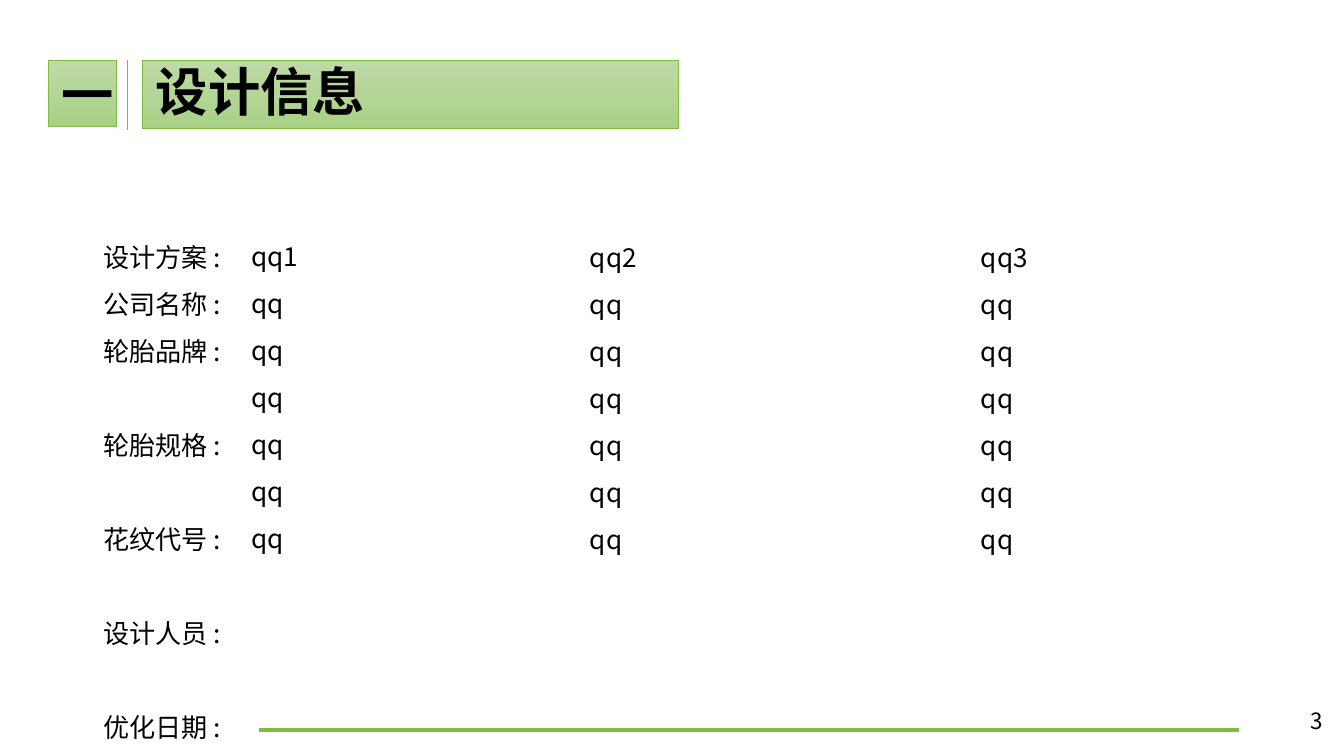
from pptx import Presentation
from pptx.dml.color import RGBColor
from pptx.enum.shapes import MSO_CONNECTOR, MSO_SHAPE
from pptx.enum.text import MSO_ANCHOR, MSO_AUTO_SIZE, PP_ALIGN
from pptx.oxml.ns import qn
from pptx.util import Inches, Pt
from lxml.etree import SubElement

THEME = {
    "font": "Noto Sans CJK SC",
    "text": RGBColor.from_string("000000"),
    "line": RGBColor.from_string("82B941"),
    "gradient": [RGBColor.from_string(c) for c in ("BEDAA6", "A8D186")],
    "heading": 28, "body": 14, "number": 12, "pitch": 25.2,
}
NUMBER, TITLE, PAGE = "一", "设计信息", "3"
LABELS = ["设计方案 :", "公司名称 :", "轮胎品牌 :", "轮胎规格 :",
          "花纹代号 :", "设计人员 :", "优化日期 :"]
DOUBLE_ROWS = range(2, 6)
COLUMNS = [
    (0.67, 1.63, 1.15, LABELS, DOUBLE_ROWS),
    (4.29, 1.63, 2.99, ["qq2"] + ["qq"] * 6, ()),
    (1.77, 1.62, 2.6, ["qq1"] + ["qq"] * 6, ()),
    (7.2, 1.63, 2.99, ["qq3"] + ["qq"] * 6, ()),
]
COLUMN_HEIGHT = 2.53
RULES = [((1.93, 5.43), (9.22, 5.43), 2.25), ((0.95, 0.45), (0.95, 0.97), 0.5)]


def style(p, size, bold=False, align=PP_ALIGN.LEFT):
    p.alignment = align
    p.font.size, p.font.bold, p.font.name = Pt(size), bold, THEME["font"]
    p.font.color.rgb = THEME["text"]
    props = p._p.get_or_add_pPr().find(qn("a:defRPr"))
    SubElement(props, qn("a:ea")).set("typeface", THEME["font"])


def add_rule(s, start, end, width):
    cx = s.shapes.add_connector(MSO_CONNECTOR.STRAIGHT, *map(Inches, start + end))
    cx.line.color.rgb, cx.line.width = THEME["line"], Pt(width)
    SubElement(cx._element.spPr, qn("a:effectLst"))


def format_heading(sp, text, anchor):
    sp.fill.gradient()
    sp.fill.gradient_angle = 270
    for stop, color in zip(sp.fill.gradient_stops, THEME["gradient"]):
        stop.color.rgb = color
    sp.line.color.rgb, sp.line.width = THEME["line"], Pt(0.5)
    tf = sp.text_frame
    tf.text, tf.word_wrap, tf.vertical_anchor = text, False, anchor
    tf.auto_size = MSO_AUTO_SIZE.NONE
    style(tf.paragraphs[0], THEME["heading"], bold=True)


def add_column(s, left, top, width, rows, double_rows):
    box = s.shapes.add_textbox(*map(Inches, (left, top, width, COLUMN_HEIGHT)))
    tf = box.text_frame
    tf.word_wrap, tf.auto_size = True, MSO_AUTO_SIZE.SHAPE_TO_FIT_TEXT
    tf.text = "\n".join(rows)
    for i, p in enumerate(tf.paragraphs):
        style(p, THEME["body"])
        p.line_spacing = Pt(THEME["pitch"])
        if i in double_rows:
            p.space_after = Pt(THEME["pitch"])


def main():
    prs = Presentation()
    prs.slide_width = Inches(10)
    prs.slide_height = int(prs.slide_width * 9 / 16)
    s = prs.slides.add_slide(prs.slide_layouts[5])

    title = s.shapes.title
    title.left, title.top, title.width, title.height = map(Inches, (1.06, 0.45, 3.99, 0.51))
    format_heading(title, TITLE, MSO_ANCHOR.BOTTOM)

    badge = s.shapes.add_shape(MSO_SHAPE.RECTANGLE, *map(Inches, (0.36, 0.45, 0.51, 0.49)))
    badge.shadow.inherit = False
    format_heading(badge, NUMBER, MSO_ANCHOR.MIDDLE)

    for rule in RULES:
        add_rule(s, *rule)
    for column in COLUMNS:
        add_column(s, *column)

    page = s.shapes.add_textbox(*map(Inches, (7.68, 5.21, 2.25, 0.3)))
    tf = page.text_frame
    tf.text, tf.word_wrap, tf.vertical_anchor = PAGE, True, MSO_ANCHOR.MIDDLE
    tf.margin_left = tf.margin_right = Inches(0.09)
    tf.margin_top = tf.margin_bottom = Inches(0.04)
    style(tf.paragraphs[0], THEME["number"], align=PP_ALIGN.RIGHT)

    prs.save("out.pptx")


if __name__ == "__main__":
    main()
